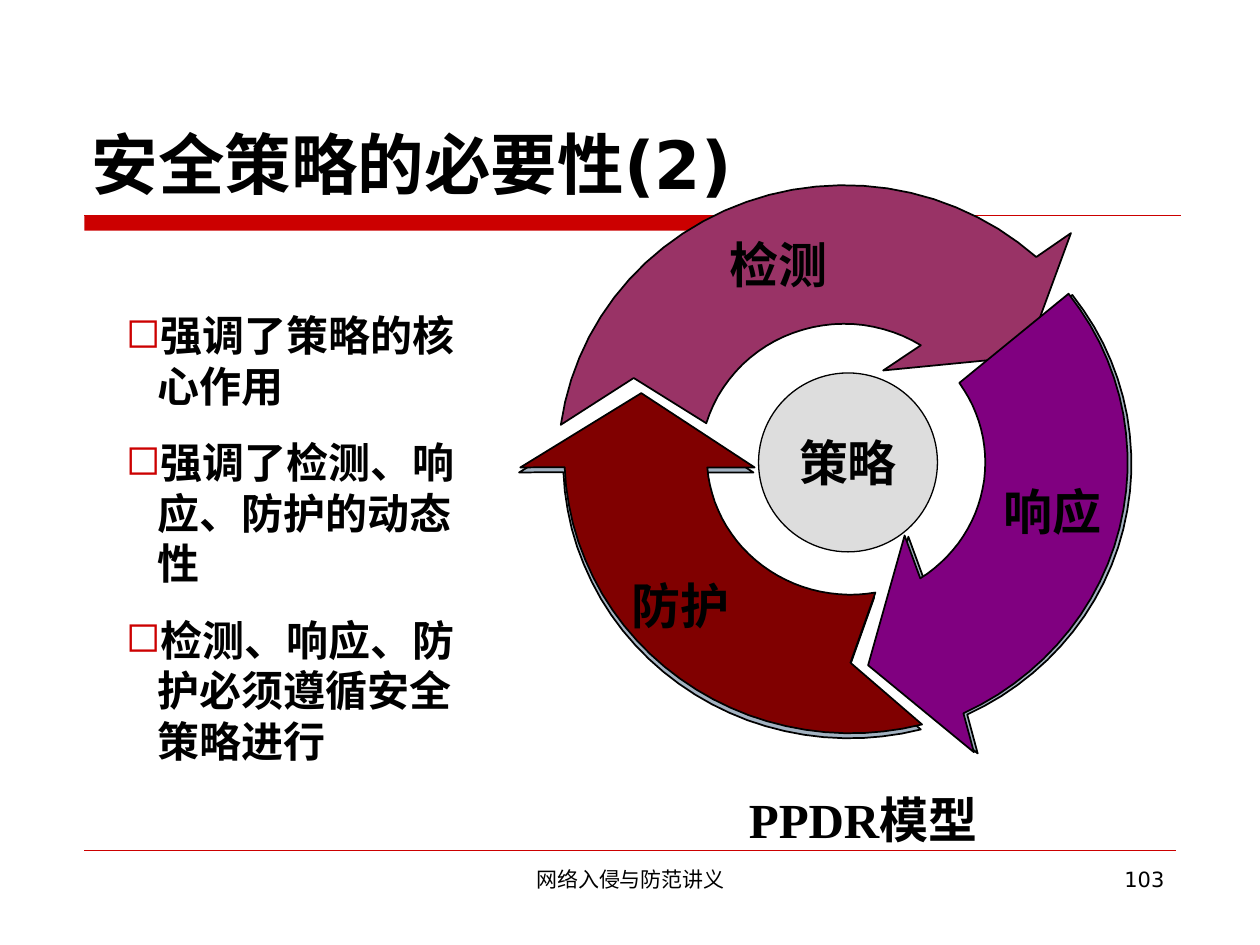
import math

import lxml.etree
import pptx
import pptx.dml.color
import pptx.enum.shapes
import pptx.enum.text
import pptx.oxml.ns
import pptx.util

Align = pptx.enum.text.PP_ALIGN
Anchor = pptx.enum.text.MSO_ANCHOR
Kind = pptx.enum.shapes.MSO_SHAPE
rgb = pptx.dml.color.RGBColor.from_string
qn = pptx.oxml.ns.qn
RED, BLACK = "CC0000", "000000"
SANS, SERIF = "DejaVu Sans", "Times New Roman"

deck = pptx.Presentation()
deck.slide_width = pptx.util.Inches(10)
deck.slide_height = pptx.util.Inches(7.5)
slide = deck.slides.add_slide(deck.slide_layouts[6])
shapes = slide.shapes
cell = deck.slide_width // 10  # square grid, 10 columns by 7.5 rows


def paint(shape, fill, line=None, width=1):
    shape.shadow.inherit = False
    shape.fill.solid()
    shape.fill.fore_color.rgb = rgb(fill)
    if line:
        shape.line.color.rgb = rgb(line)
        shape.line.width = pptx.util.Pt(width)
    else:
        shape.line.fill.background()


def write(box, lines, size, font, bold=True, align=Align.CENTER, inset=(0.1, 0.05),
          anchor=Anchor.TOP, wrap=True, mark=None):
    """Add a text box at the given grid place, or fill a shape passed instead."""
    if isinstance(box, tuple):
        box = shapes.add_textbox(*(int(n * cell) for n in box))
    frame = box.text_frame
    frame.word_wrap = wrap
    frame.vertical_anchor = anchor
    frame.margin_left = frame.margin_right = int(inset[0] * cell)
    frame.margin_top = frame.margin_bottom = int(inset[1] * cell)
    for i, line in enumerate(lines):
        para = frame.paragraphs[0] if i == 0 else frame.add_paragraph()
        para.alignment = align
        if i:
            para.space_before = pptx.util.Pt(15)
        if mark:
            props = para._p.get_or_add_pPr()
            props.set("marL", str(cell // 4))
            props.set("indent", str(-cell // 4))
            tint = lxml.etree.SubElement(props, qn("a:buClr"))
            lxml.etree.SubElement(tint, qn("a:srgbClr"), val=RED)
            lxml.etree.SubElement(props, qn("a:buChar"), char=mark)
        run = para.add_run()
        run.text = line
        run.font.size = pptx.util.Pt(size)
        run.font.name = font
        run.font.bold = bold
        run.font.color.rgb = rgb(BLACK)


# Rules under the title and above the footer
bar = shapes.add_shape(Kind.RECTANGLE, *(int(n * cell) for n in (0.67, 1.71, 5.09, 0.12)))
paint(bar, RED)
for right, y, width in ((9.37, 1.71, 0.75), (9.33, 6.75, 0.25)):
    rule = shapes.add_connector(pptx.enum.shapes.MSO_CONNECTOR.STRAIGHT,
                                *(int(n * cell) for n in (0.67, y, right, y)))
    rule.line.color.rgb = rgb(RED)
    rule.line.width = pptx.util.Pt(width)
    lxml.etree.SubElement(rule._element.spPr, qn("a:effectLst"))

write((3.42, 6.83, 3.17, 0.52), ["网络入侵与防范讲义"], 12, SANS, bold=False)
write((7.17, 6.83, 2.17, 0.52), ["103"], 12, SANS, bold=False, align=Align.RIGHT)
write((0.63, 0.33, 8.75, 1.33), ["安全策略的必要性(2)"], 38, SANS,
      align=Align.LEFT, anchor=Anchor.BOTTOM)

# Each arrow mixes corner points with arcs: (radii, start degree, end degree)
outer, inner = (2.27, 2.2), (1.14, 1.1)
arrows = [
    ("检测", "993366", (5.08, 1.86), (6.70, 3.67), None,
     [(7.01, 2.94), (8.14, 2.83), (8.5, 1.85), (outer, -47.8, -172.2),
      (5.03, 3), (inner, -163.6, -57.7)]),
    ("响应", "800080", (7.25, 3.82), (6.68, 3.67), (0.03, 0.01),
     [(outer, 64.8, -37.5), (inner, -35, 56.8),
      (7.18, 4.25), (6.89, 5.28), (7.73, 5.97)]),
    ("防护", "800000", (4.3, 4.57), (6.75, 3.62), (-0.01, 0.04),
     [(6.75, 5.26), (inner, 80, 175.3), (5.99, 3.71), (5.09, 3.12),
      (4.13, 3.71), (outer, 177.7, 75.5)]),
]
steps = 26
for name, hue, place, mid, shift, parts in arrows:
    points = []
    for part in parts:
        if len(part) == 2:
            points.append(part)
            continue
        radii, start, end = part
        for i in range(steps + 1):
            turn = math.radians(start + (end - start) * i / steps)
            points.append((mid[0] + radii[0] * math.cos(turn),
                           mid[1] + radii[1] * math.sin(turn)))
    layers = [((0, 0), hue)]
    if shift:
        layers.insert(0, (shift, "A3B2C1"))
    for (dx, dy), fill in layers:
        path = [((x + dx) * 1000, (y + dy) * 1000) for x, y in points]
        pen = shapes.build_freeform(*path[0], scale=cell / 1000)
        pen.add_line_segments(path[1:], close=True)
        paint(pen.convert_to_shape(), fill, BLACK)
    write((*place, 2.2, 0.47), [name], 28, SERIF, inset=(0, 0))

hub = shapes.add_shape(Kind.OVAL, *(int(n * cell) for n in (6.02, 2.96, 1.42, 1.42)))
paint(hub, "DDDDDD", BLACK, 0.75)
write(hub, ["策略"], 28, SERIF, anchor=Anchor.MIDDLE, wrap=False)
write((5.08, 6.27, 3.54, 0.47), ["PPDR模型"], 28, SERIF, inset=(0, 0))

write((0.9, 2.41, 3.07, 3.32),
      ["强调了策略的核心作用", "强调了检测、响应、防护的动态性", "检测、响应、防护必须遵循安全策略进行"],
      24, SERIF, align=Align.LEFT, mark="◻")

deck.save("out.pptx")
